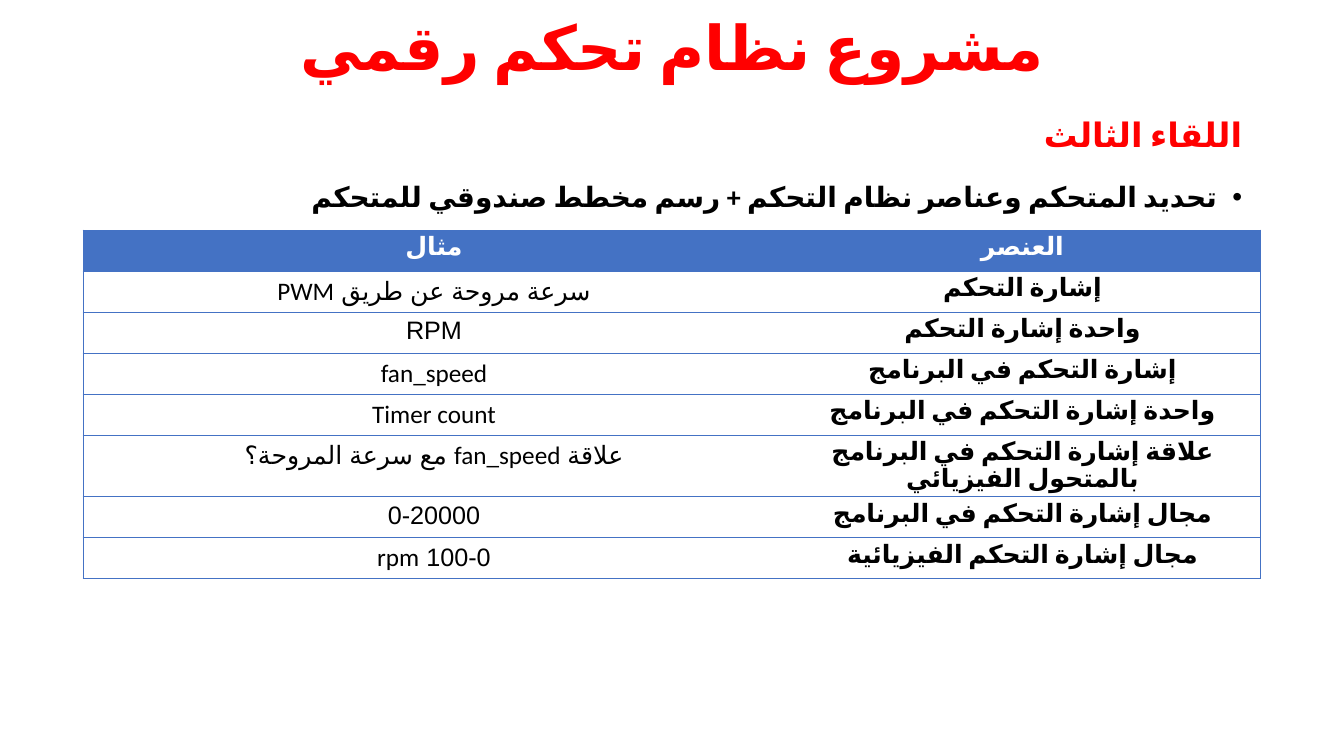
from pptx import Presentation
from pptx.dml.color import RGBColor as RGB
from pptx.enum.lang import MSO_LANGUAGE_ID as Lang
from pptx.enum.text import MSO_ANCHOR as Anchor, PP_ALIGN as Align
from pptx.oxml.ns import qn
from pptx.util import Pt
from lxml.etree import SubElement as Sub, Element

# Content
TITLE = "مشروع نظام تحكم رقمي"
HEAD = "اللقاء الثالث"
TASK = "تحديد المتحكم وعناصر نظام التحكم + رسم مخطط صندوقي للمتحكم"
COLS = ("مثال", "العنصر")
# example, its font, element
ROWS = [
    ("سرعة مروحة عن طريق PWM", "Calibri", "إشارة التحكم"),
    ("RPM", "Arial", "واحدة إشارة التحكم"),
    ("fan_speed", "Calibri", "إشارة التحكم في البرنامج"),
    ("Timer count", "Calibri", "واحدة إشارة التحكم في البرنامج"),
    ("علاقة fan_speed مع سرعة المروحة؟", "Calibri",
     "علاقة إشارة التحكم في البرنامج بالمتحول الفيزيائي"),
    ("0-20000", "Arial", "مجال إشارة التحكم في البرنامج"),
    ("100-0 rpm", "Calibri", "مجال إشارة التحكم الفيزيائية"),
]

# Style and layout, lengths in px
RED, BLUE = RGB(255, 0, 0), RGB(0x44, 0x72, 0xC4)
BLACK, WHITE = RGB(0, 0, 0), RGB(255, 255, 255)
PX = 914400 / 100.8
WIDE, HIGH = 1344, 756
TITLE_BOX = (93, 0, 1159, 102)
BODY_BOX = (125, 89, 1127, 166)
GRID_BOX = (83, 230, 1177, 348)
COL_W = (702, 475)
ROW_H, TALL_H, TALL_ROW = 41, 61, 5
TIGHT = 0.85


def emu(px):
    return round(px * PX)


def place(shape, box):
    shape.left, shape.top, shape.width, shape.height = map(emu, box)


def style(para, text, size, color, bold=True, face="Calibri", script="Calibri",
          align=Align.CENTER, rtl=True):
    para.text = text
    para.alignment = align
    font = para.font
    font.size, font.bold, font.name = Pt(size), bold, face
    font.color.rgb = color
    font.language_id = Lang.ARABIC
    for run in para.runs:
        run.font.language_id = Lang.ARABIC
    props = para._p.get_or_add_pPr()
    if rtl:
        props.set("rtl", "1")
    Sub(props.find(qn("a:defRPr")), qn("a:cs"), typeface=script)


def bullet(para, gap):
    props = para._p.get_or_add_pPr()
    props.set("marR", str(gap))
    props.set("marL", str(gap))
    props.set("indent", str(-gap))
    face = Element(qn("a:buFont"), typeface="Arial")
    mark = Element(qn("a:buChar"), char="•")
    base = props.find(qn("a:defRPr"))
    base.addprevious(face)
    base.addprevious(mark)


def border(cell, sides):
    props = cell._tc.get_or_add_tcPr()
    for spot, side in enumerate("LRTB"):
        line = Element(qn("a:ln" + side), w=str(Pt(0.5)))
        if side in sides:
            fill = Sub(line, qn("a:solidFill"))
            Sub(fill, qn("a:srgbClr"), val=str(BLUE))
        else:
            Sub(line, qn("a:noFill"))
        props.insert(spot, line)


deck = Presentation()
deck.slide_width, deck.slide_height = emu(WIDE), emu(HIGH)
slide = deck.slides.add_slide(deck.slide_layouts[5])

# Title
title = slide.shapes.title
place(title, TITLE_BOX)
title.text_frame.vertical_anchor = Anchor.MIDDLE
para = title.text_frame.paragraphs[0]
style(para, TITLE, 44, RED, rtl=False)
para.line_spacing = 0.9

# Heading and task
body = slide.shapes.add_textbox(*map(emu, BODY_BOX)).text_frame
body.word_wrap = True
head, task = body.paragraphs[0], body.add_paragraph()
style(head, HEAD, 24, RED, align=Align.RIGHT)
style(task, TASK, 20, BLACK, align=Align.RIGHT)
for para in (head, task):
    para.line_spacing, para.space_after = 1.5, Pt(6)
bullet(task, emu(25))

# Table
grid = slide.shapes.add_table(len(ROWS) + 1, len(COLS), *map(emu, GRID_BOX)).table
grid.horz_banding = False
for col, wide in zip(grid.columns, COL_W):
    col.width = emu(wide)
for num, row in enumerate(grid.rows):
    row.height = emu(TALL_H if num == TALL_ROW else ROW_H)
    for cell, side in zip(row.cells, "LR"):
        para = cell.text_frame.paragraphs[0]
        cell.fill.solid()
        cell.fill.fore_color.rgb = WHITE if num else BLUE
        border(cell, side + "TB")
        if num == 0:
            style(para, COLS["LR".index(side)], 18, WHITE, rtl=False)
            para.line_spacing = TIGHT
            continue
        sample, face, part = ROWS[num - 1]
        if side == "L":
            style(para, sample, 18, BLACK, False, face, "Arial")
        else:
            style(para, part, 18, BLACK)
            para.line_spacing = TIGHT

deck.save("out.pptx")
